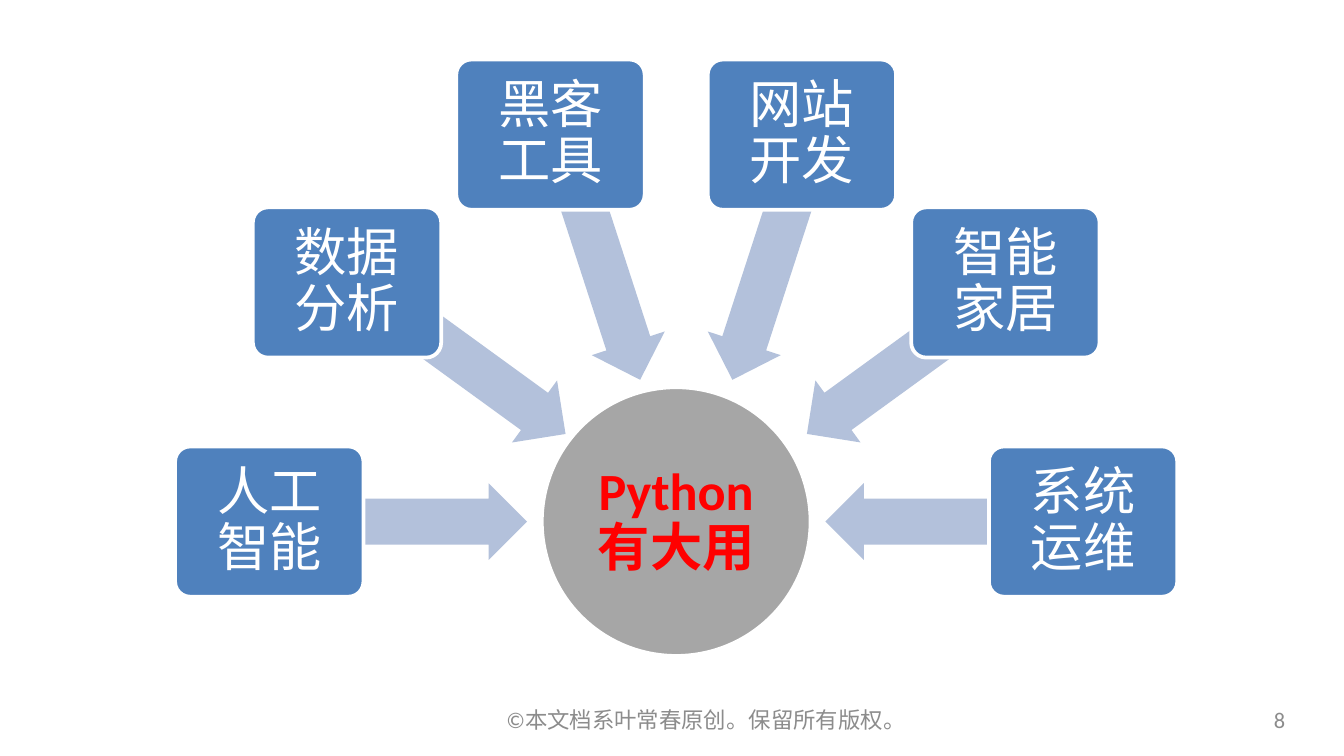
from dataclasses import dataclass
from math import cos, radians, sin

from pptx import Presentation
from pptx.dml.color import RGBColor
from pptx.enum.shapes import MSO_SHAPE
from pptx.enum.text import MSO_ANCHOR, PP_ALIGN
from pptx.util import Cm, Pt

ELLIPSE = MSO_SHAPE.OVAL
ROUNDED = MSO_SHAPE.ROUNDED_RECTANGLE
LEFT_ARROW = MSO_SHAPE.LEFT_ARROW
MIDDLE = MSO_ANCHOR.MIDDLE
CENTER, RIGHT = PP_ALIGN.CENTER, PP_ALIGN.RIGHT

COLORS = {
    "hub": "A6A6A6",
    "box": "4F81BD",
    "arrow": "B3C1DB",
    "white": "FFFFFF",
    "red": "FF0000",
    "footer": "8C8C8C",
}

# Radial layout, in centimetres and degrees
HUB_X, HUB_Y, HUB_SIZE = 12.78, 9.86, 5.08
BOX_RADIUS, BOX_WIDTH, BOX_HEIGHT = 7.69, 3.56, 2.84
ARROW_RADIUS, ARROW_WIDTH, ARROW_HEIGHT = 5.26, 4.88, 1.45
TILTED_ARROW_SHIFT = 0.19
STEP = 36


@dataclass
class Use:
    label: str
    angle: int


@dataclass
class Footer:
    text: str
    left: float
    width: float
    align: PP_ALIGN


USES = [
    Use(label, index * STEP)
    for index, label in enumerate(
        ["人工\v智能", "数据\v分析", "黑客\v工具", "网站\v开发", "智能\v家居", "系统\v运维"]
    )
]
FOOTERS = [
    Footer("©本文档系叶常春原创。保留所有版权。", 9.32, 8.05, CENTER),
    Footer("8", 18.62, 5.92, RIGHT),
]


def color(name: str) -> RGBColor:
    return RGBColor.from_string(COLORS[name])


def write(shape, text: str, *, size: float, ink: str, align=CENTER,
          bold: bool = False, spacing: float = 1.0, inset: float | None = None) -> None:
    frame = shape.text_frame
    frame.word_wrap = True
    frame.vertical_anchor = MIDDLE
    if inset is not None:
        frame.margin_left = frame.margin_right = Cm(inset)
        frame.margin_top = frame.margin_bottom = Cm(inset)
    para = frame.paragraphs[0]
    para.text = text
    para.alignment = align
    para.line_spacing = spacing
    for span in para.runs:
        span.font.name = "Calibri"
        span.font.size = Pt(size)
        span.font.bold = bold
        span.font.color.rgb = color(ink)


def add_centered(page, kind, x: float, y: float, width: float, height: float,
                 fill: str, outlined: bool = True):
    shape = page.shapes.add_shape(
        kind, Cm(x - width / 2), Cm(y - height / 2), Cm(width), Cm(height))
    shape.shadow.inherit = False
    shape.fill.solid()
    shape.fill.fore_color.rgb = color(fill)
    if outlined:
        shape.line.color.rgb = color("white")
        shape.line.width = Pt(2)
    else:
        shape.line.fill.background()
    return shape


def around_hub(angle: int, radius: float) -> tuple[float, float]:
    """Point on a circle round the hub, clockwise from its left side."""
    turn = radians(angle)
    return HUB_X - radius * cos(turn), HUB_Y - radius * sin(turn)


def add_use(page, use: Use) -> None:
    x, y = around_hub(use.angle, ARROW_RADIUS)
    if use.angle % 180:
        x += TILTED_ARROW_SHIFT
    arrow = add_centered(page, LEFT_ARROW, x, y, ARROW_WIDTH, ARROW_HEIGHT,
                         "arrow", outlined=False)
    arrow.adjustments[0] = 0.6
    arrow.adjustments[1] = 0.5
    arrow.rotation = (180 + use.angle) % 360

    x, y = around_hub(use.angle, BOX_RADIUS)
    box = add_centered(page, ROUNDED, x, y, BOX_WIDTH, BOX_HEIGHT, "box")
    box.adjustments[0] = 0.1
    write(box, use.label, size=28, ink="white", spacing=0.9, inset=0.15)


def add_footer(page, footer: Footer) -> None:
    box = page.shapes.add_textbox(Cm(footer.left), Cm(13.23), Cm(footer.width), Cm(0.76))
    write(box, footer.text, size=12, ink="footer", align=footer.align)


def main() -> None:
    deck = Presentation()
    deck.slide_width, deck.slide_height = Cm(25.4), Cm(14.29)
    page = deck.slides.add_slide(deck.slide_layouts[6])

    # Footer and page number
    for footer in FOOTERS:
        add_footer(page, footer)

    # Hub
    hub = add_centered(page, ELLIPSE, HUB_X, HUB_Y, HUB_SIZE, HUB_SIZE, "hub")
    write(hub, "Python有大用", size=28, ink="red", bold=True, spacing=0.9, inset=0.05)

    # Uses pointing at the hub
    for use in USES:
        add_use(page, use)

    deck.save("out.pptx")


if __name__ == "__main__":
    main()
